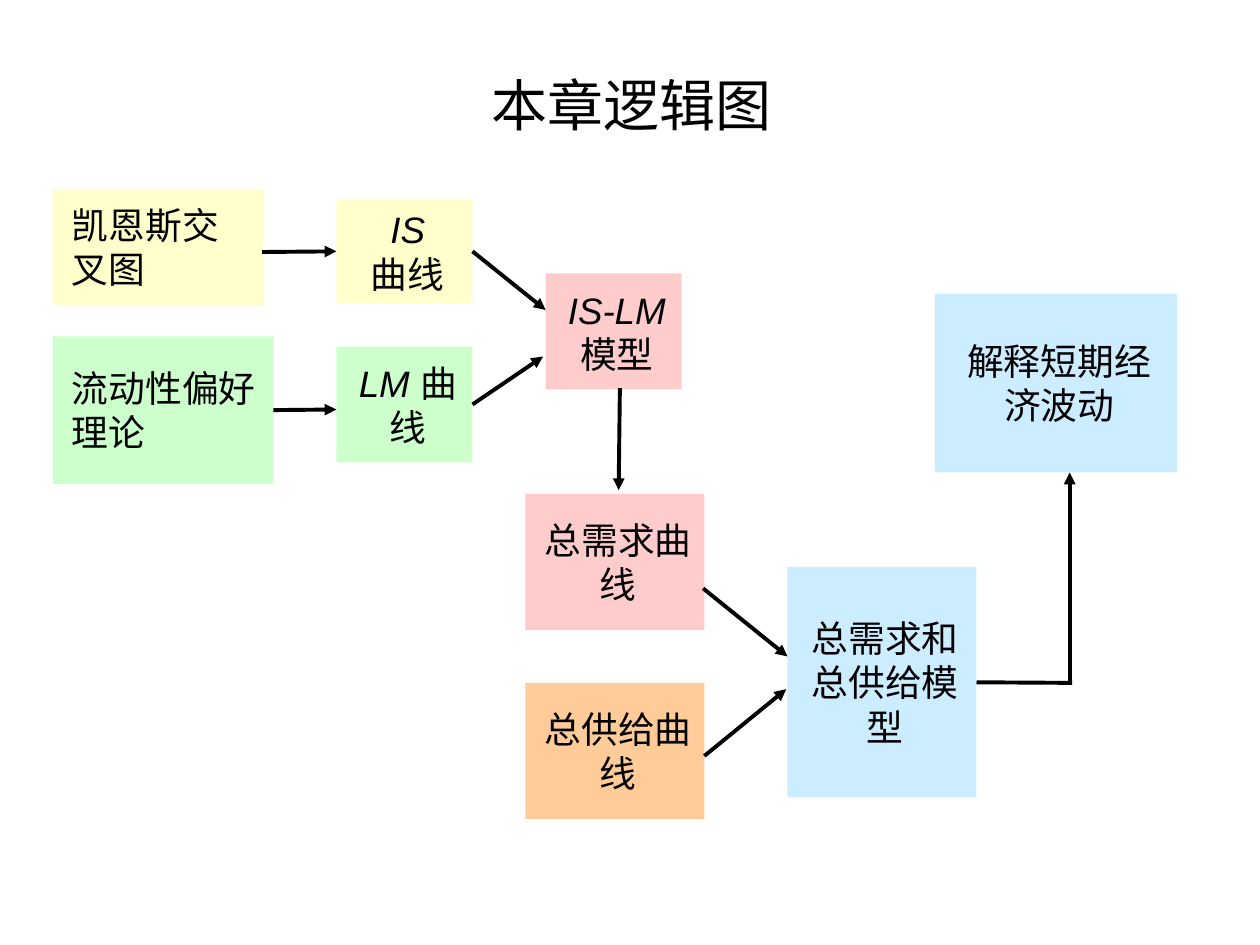
from lxml import etree
from pptx import Presentation
from pptx import util as u
from pptx.dml.color import RGBColor
from pptx.enum import shapes, text
from pptx.oxml.ns import qn

TOP, LEFT, BOTTOM, RIGHT = range(4)
BLACK, YELLOW, GREEN, PINK, ORANGE, BLUE = (
    "000000", "FFFFCC", "CCFFCC", "FFCCCC", "FFCC99", "CCECFF")


def color(hex_text):
    return RGBColor.from_string(hex_text)


class FlowSlide:
    font = "Arial"
    title_size, box_size, line_width = 32, 21, 2.25

    def __init__(self, prs):
        self.s = prs.slides.add_slide(prs.slide_layouts[5])

    def run(self, p, words, size, italic=False):
        r = p.add_run()
        r.text = words
        r.font.name, r.font.size = self.font, u.Pt(size)
        r.font.italic = italic
        r.font.color.rgb = color(BLACK)

    def title(self, words, x, y, w, h):
        sp = self.s.shapes.title
        sp.left, sp.top, sp.width, sp.height = map(u.Inches, (x, y, w, h))
        tf = sp.text_frame
        tf.vertical_anchor = text.MSO_ANCHOR.MIDDLE
        p = tf.paragraphs[0]
        p.alignment = text.PP_ALIGN.CENTER
        self.run(p, words, self.title_size)

    def box(self, words, fill, x, y, w, h, symbol="", new_line=False,
            align=text.PP_ALIGN.CENTER):
        """Add a filled box; an italic symbol may come before the words."""
        sp = self.s.shapes.add_shape(shapes.MSO_SHAPE.RECTANGLE,
                                     *map(u.Inches, (x, y, w, h)))
        sp.shadow.inherit = False
        sp.fill.solid()
        sp.fill.fore_color.rgb = color(fill)
        sp.line.fill.background()
        tf = sp.text_frame
        tf.word_wrap = True
        tf.vertical_anchor = text.MSO_ANCHOR.MIDDLE
        tf.margin_left, tf.margin_right = u.Inches(0.15), u.Inches(0.1)
        tf.margin_top = tf.margin_bottom = u.Inches(0.05)
        p = tf.paragraphs[0]
        p.alignment = align
        if symbol:
            self.run(p, symbol, self.box_size, italic=True)
        if new_line:
            p.add_line_break()
        self.run(p, words, self.box_size)
        return sp

    def line(self, start, end, begin=None, finish=None, arrow=True):
        """Draw a line; begin and finish are (box, side) pairs to join."""
        c = self.s.shapes.add_connector(shapes.MSO_CONNECTOR.STRAIGHT,
                                        *map(u.Inches, start + end))
        if begin:
            c.begin_connect(*begin)
        if finish:
            c.end_connect(*finish)
        c.line.color.rgb = color(BLACK)
        c.line.width = u.Pt(self.line_width)
        if arrow:
            etree.SubElement(c.line._get_or_add_ln(), qn("a:tailEnd"),
                             type="triangle")
        etree.SubElement(c._element.spPr, qn("a:effectLst"))


def main():
    prs = Presentation()
    prs.slide_width, prs.slide_height = u.Inches(10), u.Inches(7.5)
    s = FlowSlide(prs)
    s.title("本章逻辑图", 0.51, 0.36, 9, 0.94)

    left = text.PP_ALIGN.LEFT
    s.box("凯恩斯交叉图", YELLOW, 0.42, 1.5, 1.67, 0.92, align=left)
    liquidity = s.box("流动性偏好理论", GREEN, 0.42, 2.67, 1.75, 1.17, align=left)
    is_curve = s.box("曲线", YELLOW, 2.67, 1.58, 1.08, 0.83, "IS", new_line=True)
    lm_curve = s.box("曲线", GREEN, 2.67, 2.75, 1.08, 0.92, "LM ")
    s.box("模型", PINK, 4.33, 2.17, 1.08, 0.92, "IS-LM", new_line=True)
    s.box("总需求曲线", PINK, 4.17, 3.92, 1.42, 1.08)
    s.box("总供给曲线", ORANGE, 4.17, 5.42, 1.42, 1.08)
    model = s.box("总需求和总供给模型", BLUE, 6.25, 4.5, 1.5, 1.83)
    s.box("解释短期经济波动", BLUE, 7.42, 2.33, 1.92, 1.42)

    s.line((2.08, 2), (2.67, 2), finish=(is_curve, LEFT))
    s.line((2.17, 3.25), (2.67, 3.25), begin=(liquidity, RIGHT))
    s.line((3.75, 2), (4.33, 2.46), begin=(is_curve, RIGHT))
    s.line((3.75, 3.22), (4.31, 2.83), begin=(lm_curve, RIGHT))
    s.line((4.92, 3.08), (4.91, 3.89))
    s.line((5.58, 4.67), (6.25, 5.21))
    s.line((5.59, 6), (6.24, 5.47))
    s.line((7.75, 5.42), (8.51, 5.42), begin=(model, RIGHT), arrow=False)
    s.line((8.49, 5.44), (8.49, 3.75))

    prs.save("out.pptx")


if __name__ == "__main__":
    main()
